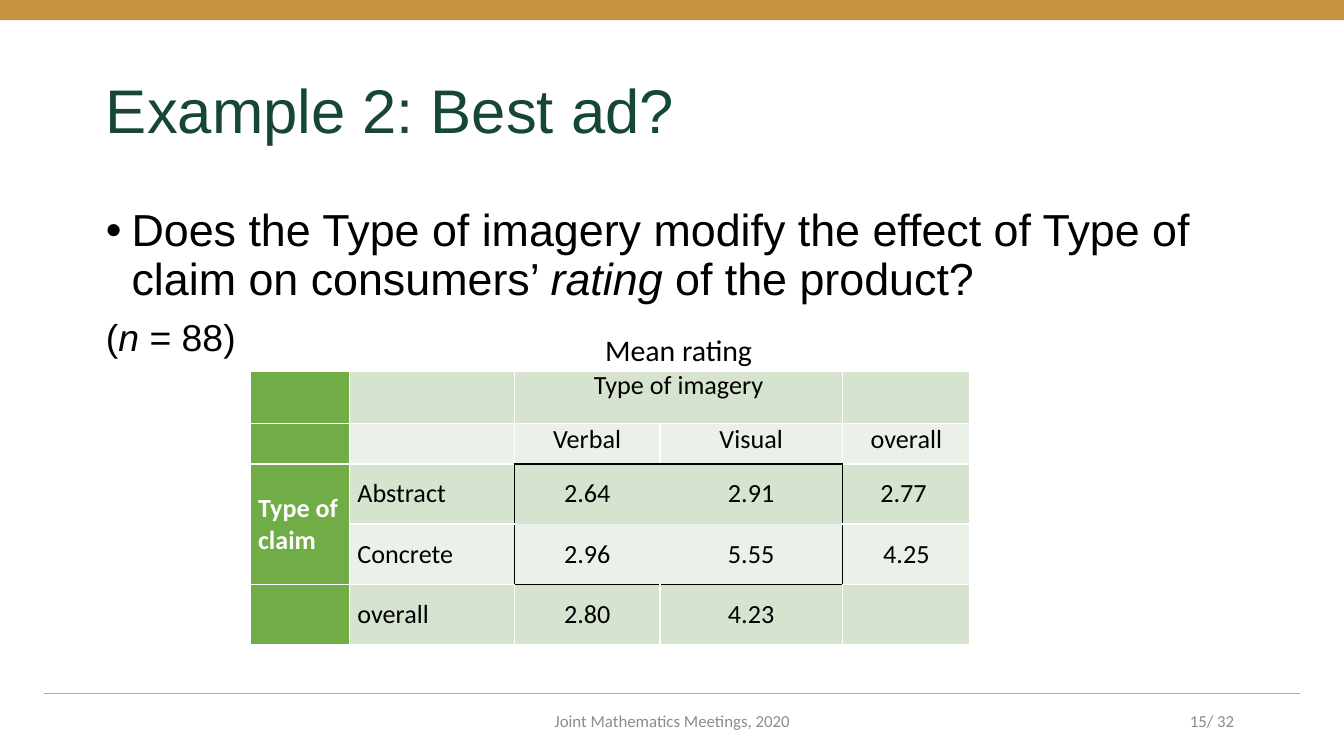
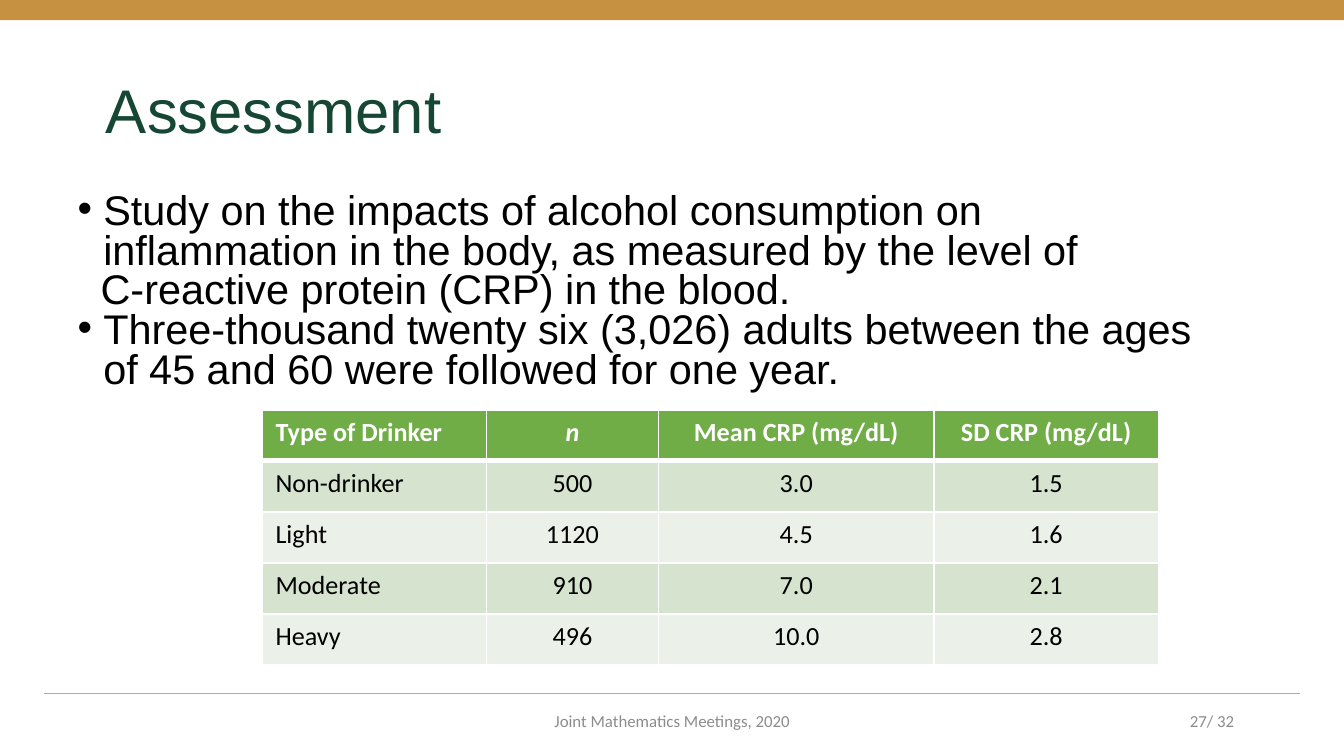
from lxml.etree import SubElement
from pptx import Presentation
from pptx.dml.color import RGBColor
from pptx.enum.shapes import MSO_CONNECTOR, MSO_SHAPE
from pptx.enum.text import MSO_ANCHOR, PP_ALIGN
from pptx.oxml.ns import qn
from pptx.util import Inches, Pt

GOLD = RGBColor(0xC6, 0x92, 0x41)
DARK_GREEN = RGBColor(0x15, 0x47, 0x34)
GREEN = RGBColor(0x70, 0xAD, 0x47)
PALE_GREEN = RGBColor(0xD5, 0xE3, 0xCF)
PALEST_GREEN = RGBColor(0xEB, 0xF1, 0xE9)
RULE_GRAY = RGBColor(0xAF, 0xAB, 0xAB)
FOOTER_GRAY = RGBColor(0x8C, 0x8C, 0x8C)
BLACK = RGBColor(0, 0, 0)
WHITE = RGBColor(0xFF, 0xFF, 0xFF)

LEFT, CENTER, RIGHT = PP_ALIGN.LEFT, PP_ALIGN.CENTER, PP_ALIGN.RIGHT
TOP, MIDDLE, BOTTOM = MSO_ANCHOR.TOP, MSO_ANCHOR.MIDDLE, MSO_ANCHOR.BOTTOM
NEIGHBOURS = {"L": (0, -1), "R": (0, 1), "T": (-1, 0), "B": (1, 0)}


def write(para, text, font, size, color, bold=False):
    for index, part in enumerate(text.split("*")):
        if text and not part:
            continue
        span = para.add_run()
        span.text = part
        span.font.name = font
        span.font.size = Pt(size)
        span.font.color.rgb = color
        span.font.bold = bold
        span.font.italic = index % 2 == 1


def style_cell(cell, fill, borders):
    properties = cell._tc.get_or_add_tcPr()
    for side, (color, width) in borders.items():
        line = SubElement(properties, qn(f"a:ln{side}"), w=str(Pt(width)))
        if color is None:
            SubElement(line, qn("a:noFill"))
        else:
            solid = SubElement(line, qn("a:solidFill"))
            SubElement(solid, qn("a:srgbClr"), val=str(color))
    if fill is None:
        cell.fill.background()
    else:
        cell.fill.solid()
        cell.fill.fore_color.rgb = fill


deck = Presentation()
deck.slide_width = Inches(10)
deck.slide_height = Inches(10) * 9 // 16

contents = [
    {
        "title": "Example 2: Best ad?",
        "number": "15/ 32 ",
        "body_at": (0.69, 1.5, 8.71, 3.57),
        "spacing": (0.9, 7.5),
        "body": [
            ("Does the Type of imagery modify the effect of Type of claim on "
             "consumers’ *rating* of the product?", 24, True, 0.19),
            ("(*n* = 88)", 20, False, 0),
        ],
        "table_at": (1.86, 2.35),
        "columns": [0.74, 1.23, 1.08, 1.36, 0.95],
        "rows": [0.4, 0.4, 0.3, 0.45, 0.45, 0.45],
        "cells": [
            ["", "", "Mean rating", "", ""],
            ["", "", "Type of imagery", "", ""],
            ["", "", "Verbal", "Visual", "overall"],
            ["Type of claim", "Abstract", "2.64", "2.91", "2.77 "],
            ["", "Concrete", "2.96", "5.55", "4.25"],
            ["", "overall", "2.80", "4.23", ""],
        ],
        "merges": [(0, 2, 0, 3), (1, 2, 1, 3), (3, 0, 4, 0)],
        "outlined": {(3, 2), (3, 3), (4, 2), (4, 3)},
        "header_row": False,
    },
    {
        "title": "Assessment",
        "number": "27/ 32 ",
        "body_at": (0.48, 1.39, 8.62, 1.61),
        "spacing": (0.8, 0),
        "body": [
            ("Study on the impacts of alcohol consumption on inflammation in the "
             "body, as measured by the level of", 22.2, True, 0.19),
            ("C-reactive protein (CRP) in the blood.", 22.2, False, 0.17),
            ("Three-thousand twenty six (3,026) adults between the ages of 45 and "
             "60 were followed for one year.", 22.2, True, 0.19),
        ],
        "table_at": (1.95, 3.05),
        "columns": [1.67, 1.28, 2.05, 1.67],
        "rows": [0.38] * 5,
        "cells": [
            ["Type of Drinker", "*n*", "Mean CRP (mg/dL)", "SD CRP (mg/dL)"],
            ["Non-drinker", "500", "3.0", "1.5"],
            ["Light", "1120", "4.5", "1.6"],
            ["Moderate", "910", "7.0", "2.1"],
            ["Heavy", "496", "10.0", "2.8"],
        ],
        "merges": [],
        "outlined": set(),
        "header_row": True,
    },
]

for content in contents:
    page = deck.slides.add_slide(deck.slide_layouts[6])

    rule = page.shapes.add_connector(
        MSO_CONNECTOR.STRAIGHT, Inches(0.33), Inches(5.16), Inches(9.67), Inches(5.16))
    rule.line.color.rgb = RULE_GRAY
    rule.line.width = Pt(0.5)
    SubElement(rule._element.spPr, qn("a:effectLst"))

    band = page.shapes.add_shape(MSO_SHAPE.RECTANGLE, 0, 0, deck.slide_width, Inches(0.15))
    band.shadow.inherit = False
    band.fill.solid()
    band.fill.fore_color.rgb = GOLD
    band.line.fill.background()

    labels = [
        (content["title"], (0.69, 0.3, 8.62, 1.09), "Arial", 33, DARK_GREEN, LEFT, 0.9),
        ("Joint Mathematics Meetings, 2020", (3.31, 5.21, 3.38, 0.3),
         "Calibri", 9, FOOTER_GRAY, CENTER, 1.0),
        (content["number"], (7.06, 5.21, 2.25, 0.3),
         "Calibri", 9, FOOTER_GRAY, RIGHT, 1.0),
    ]
    for text, at, font, size, color, align, line_spacing in labels:
        box = page.shapes.add_textbox(*map(Inches, at))
        box.text_frame.word_wrap = True
        box.text_frame.vertical_anchor = MIDDLE
        para = box.text_frame.paragraphs[0]
        para.alignment = align
        para.line_spacing = line_spacing
        write(para, text, font, size, color)

    body = page.shapes.add_textbox(*map(Inches, content["body_at"])).text_frame
    body.word_wrap = True
    line_spacing, space_before = content["spacing"]
    for index, (text, size, bulleted, indent) in enumerate(content["body"]):
        para = body.add_paragraph() if index else body.paragraphs[0]
        properties = para._p.get_or_add_pPr()
        properties.set("marL", str(Inches(indent)))
        properties.set("indent", str(-Inches(indent) if bulleted else 0))
        if bulleted:
            SubElement(properties, qn("a:buFont"), typeface="Arial")
            SubElement(properties, qn("a:buChar"), char="•")
        para.line_spacing = line_spacing
        if index:
            para.space_before = Pt(space_before)
        write(para, text, "Arial", size, BLACK)

    columns, rows = content["columns"], content["rows"]
    header_row, outlined = content["header_row"], content["outlined"]
    left, top = content["table_at"]
    table = page.shapes.add_table(
        len(rows), len(columns), Inches(left), Inches(top),
        Inches(sum(columns)), Inches(sum(rows))).table
    table.first_row = False
    table.horz_banding = False
    for column, width in zip(table.columns, columns):
        column.width = Inches(width)
    for row, height in zip(table.rows, rows):
        row.height = Inches(height)

    for r, texts in enumerate(content["cells"]):
        for c, text in enumerate(texts):
            cell = table.cell(r, c)
            borders = {}
            for side, (down, across) in NEIGHBOURS.items():
                ends = ((r, c) in outlined) + ((r + down, c + across) in outlined)
                width = 3 if (r, side) in ((0, "B"), (1, "T")) else 1
                borders[side] = ((WHITE, BLACK, None)[ends], width)

            heading = r == 0 if header_row else c == 0
            if r == 0 and not header_row:
                fill = None
            elif heading:
                fill = GREEN
            else:
                fill = PALE_GREEN if r % 2 else PALEST_GREEN
            style_cell(cell, fill, borders)

            if not header_row:
                cell.margin_left = cell.margin_right = Inches(0.06)
                cell.margin_top = cell.margin_bottom = 0
                cell.vertical_anchor = BOTTOM if r == 0 else TOP if r < 3 else MIDDLE
            para = cell.text_frame.paragraphs[0]
            para.alignment = LEFT if c < (1 if header_row else 2) else CENTER
            size = 16 if text == "Mean rating" else 14
            write(para, text, "Calibri", size, WHITE if heading else BLACK, heading)

    for first_row, first_column, last_row, last_column in content["merges"]:
        table.cell(first_row, first_column).merge(table.cell(last_row, last_column))

deck.save("out.pptx")
